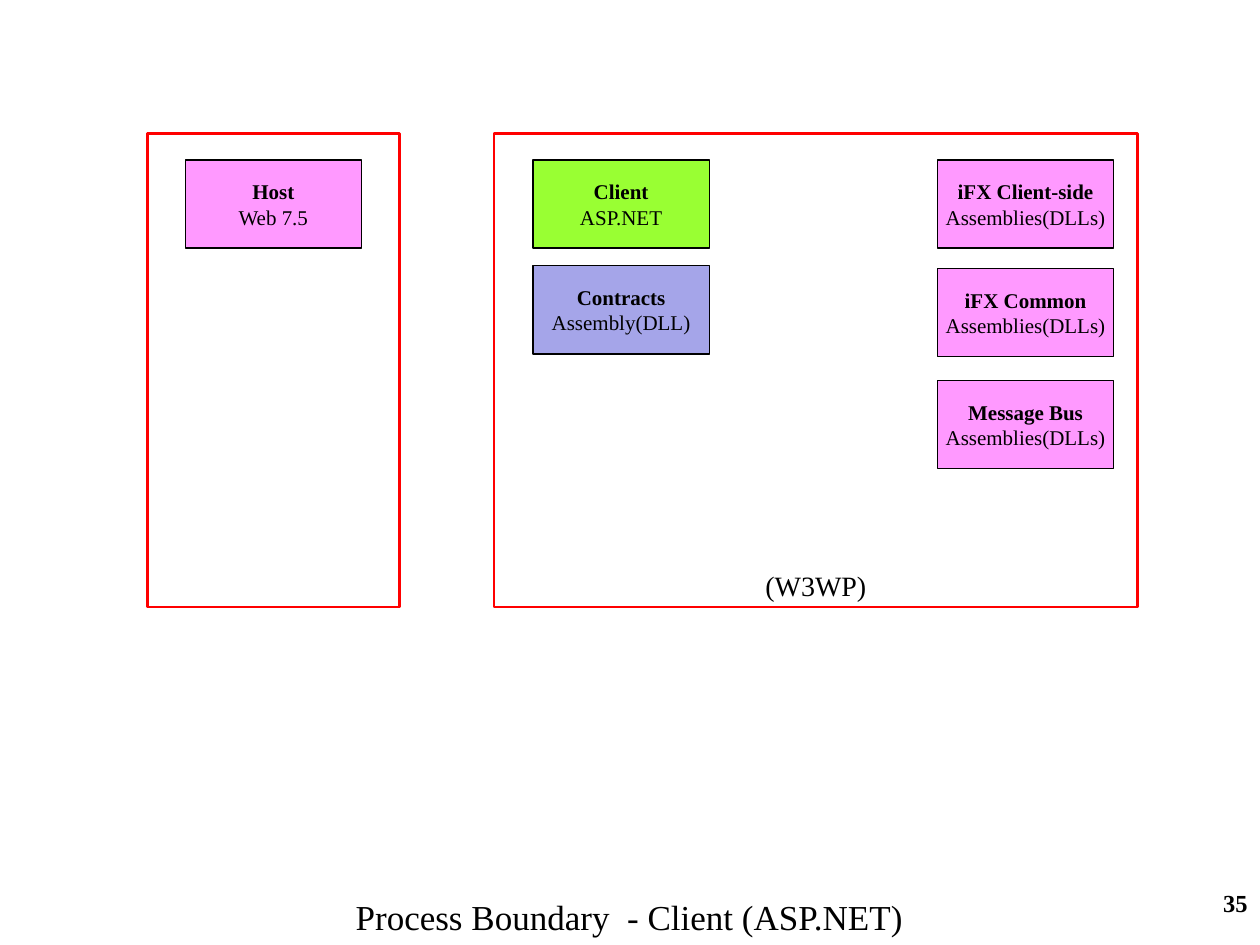
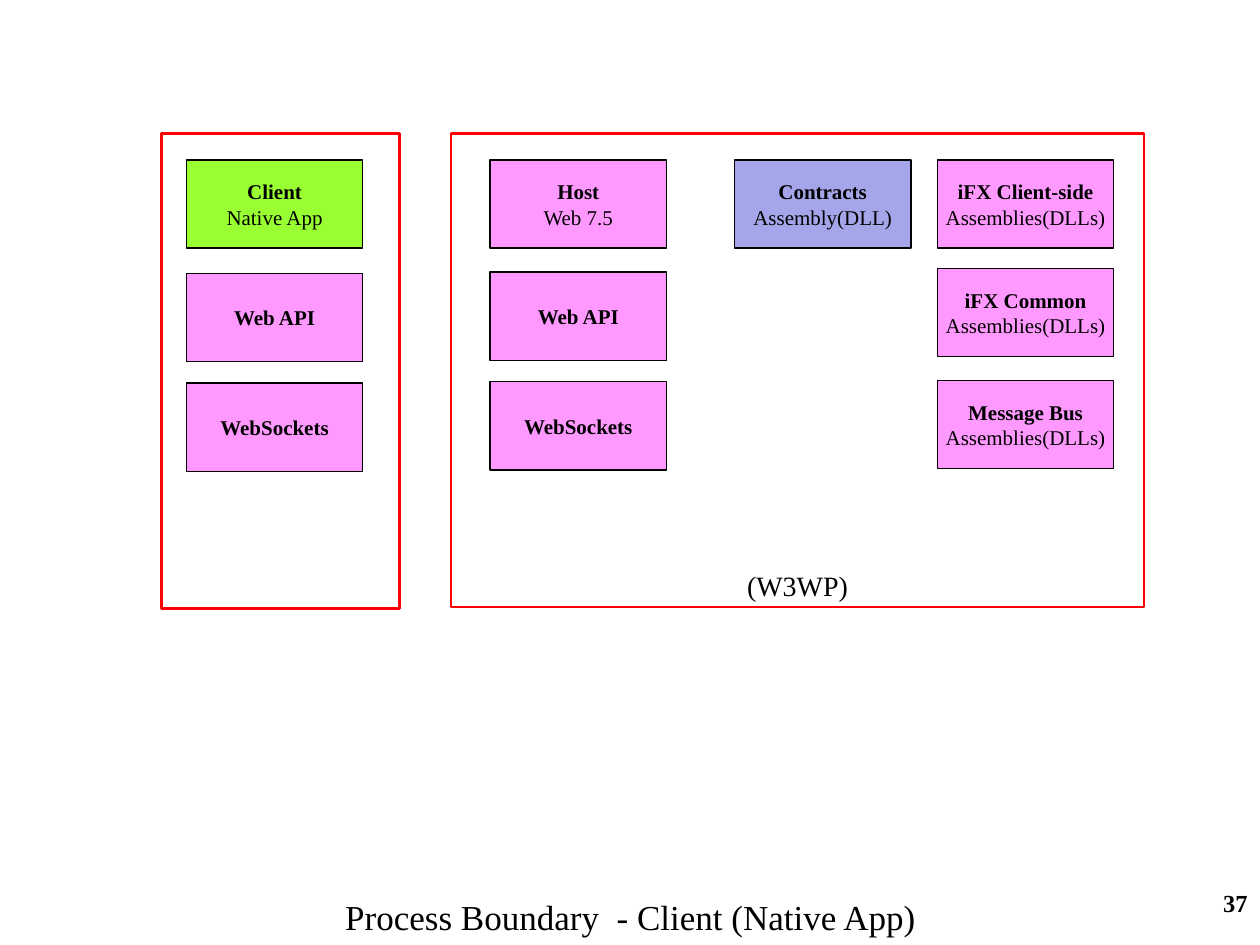
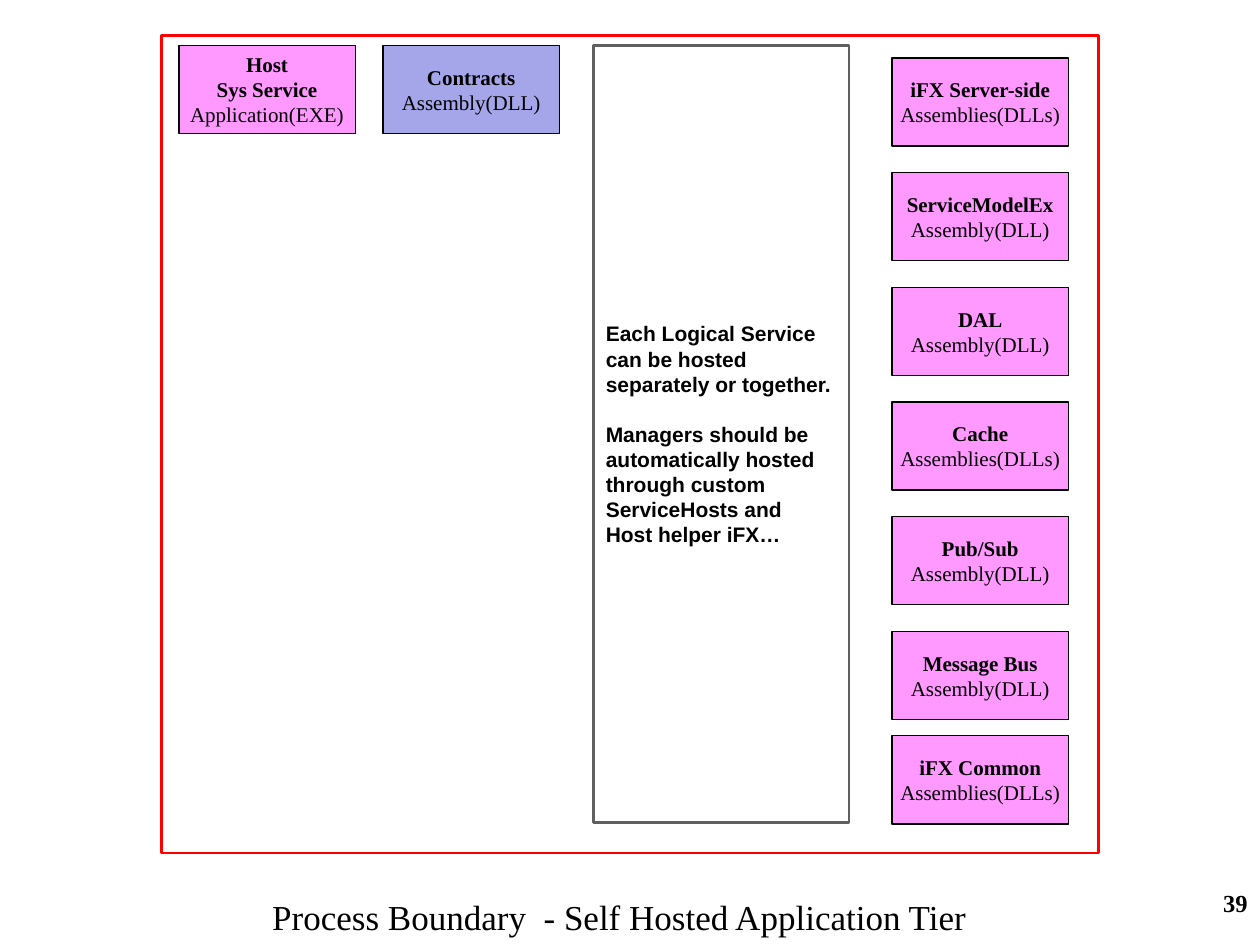
import pptx
import pptx.util
import pptx.dml.color
import pptx.enum.shapes
import pptx.enum.text

Inches = pptx.util.Inches
Pt = pptx.util.Pt
ALIGN = pptx.enum.text.PP_ALIGN
ANCHOR = pptx.enum.text.MSO_ANCHOR

COLORS = {
    "text": "000000",
    "boundary": "FF0000",
    "note": "606060",
    "client": "99FF33",
    "contracts": "A5A5E9",
    "infrastructure": "FF99FF",
}
SERIF = "Times New Roman"
CARD_W, CARD_H = 1.4, 0.7
TOP = 1.27
PLURAL = "Assemblies(DLLs)"
SINGLE = "Assembly(DLL)"


def color(name):
    return pptx.dml.color.RGBColor.from_string(COLORS[name])


def write(tf, text, size=12, font=SERIF, bold_lines=0, align=ALIGN.CENTER,
          anchor=ANCHOR.TOP, wrap=True, gaps=None):
    tf.word_wrap = wrap
    tf.auto_size = pptx.enum.text.MSO_AUTO_SIZE.NONE
    tf.vertical_anchor = anchor
    tf.margin_left = tf.margin_right = Inches(0.1)
    tf.margin_top = tf.margin_bottom = Inches(0.05)
    for i, line in enumerate(text.split("\n")):
        p = tf.add_paragraph() if i else tf.paragraphs[0]
        p.alignment = align
        if gaps and i in gaps:
            p.space_before = Pt(gaps[i])
        r = p.add_run()
        r.text = line
        r.font.size = Pt(size)
        r.font.name = font
        r.font.bold = i < bold_lines
        r.font.color.rgb = color("text")


class Deck:
    def __init__(self):
        self.prs = pptx.Presentation()
        self.prs.slide_width = Inches(10)
        self.prs.slide_height = Inches(7.5)
        self.s = None

    def slide(self, subject, number, left, width, align=ALIGN.CENTER):
        self.s = self.prs.slides.add_slide(self.prs.slide_layouts[5])
        sp = self.s.shapes.title
        sp.left, sp.top = Inches(left), Inches(7.06)
        sp.width, sp.height = Inches(width), Inches(0.44)
        write(sp.text_frame, f"Process Boundary  - {subject}", size=20, align=align)
        self.label(str(number), 7.92, 7, 2.08, 0.5, size=14, bold_lines=1,
                   align=ALIGN.RIGHT)

    def label(self, text, x, y, w, h, **fmt):
        sp = self.s.shapes.add_textbox(Inches(x), Inches(y), Inches(w), Inches(h))
        write(sp.text_frame, text, **fmt)

    def rect(self, x, y, w, h, line, line_width=1.5, fill=None):
        sp = self.s.shapes.add_shape(
            pptx.enum.shapes.MSO_SHAPE.RECTANGLE,
            Inches(x), Inches(y), Inches(w), Inches(h))
        sp.shadow.inherit = False
        sp.line.color.rgb = color(line)
        sp.line.width = Pt(line_width)
        if fill:
            sp.fill.solid()
            sp.fill.fore_color.rgb = color(fill)
        else:
            sp.fill.background()
        return sp

    def boundary(self, x, y, w, h, process=None):
        self.rect(x, y, w, h, "boundary")
        if process:
            self.label(process, x, y + h - 0.36, w, 0.37, size=16)

    def card(self, text, x, y, kind="infrastructure"):
        sp = self.rect(x, y, CARD_W, CARD_H, "text", 0.75, kind)
        write(sp.text_frame, text, bold_lines=max(1, text.count("\n")),
              anchor=ANCHOR.MIDDLE, wrap=False)

    def contracts(self, x, y):
        self.card(f"Contracts\n{SINGLE}", x, y, "contracts")

    def client_assemblies(self):
        for name, y in (("iFX Client-side", TOP), ("iFX Common", 2.13),
                        ("Message Bus", 3.02)):
            self.card(f"{name}\n{PLURAL}", 7.44, y)

    def web_stack(self, x, y):
        for i, name in enumerate(("Web API", "WebSockets")):
            self.card(name, x, y + i * 0.87)

    def note(self, text, x, y, w, h, **fmt):
        sp = self.rect(x, y, w, h, "note")
        write(sp.text_frame, text, font="Arial", bold_lines=text.count("\n") + 1,
              align=ALIGN.LEFT, anchor=ANCHOR.MIDDLE, wrap=False, **fmt)


def web_client(deck):
    deck.slide("Client (ASP.NET)", 35, 2.64, 4.71)
    deck.boundary(1.17, 1.06, 2, 3.76)
    deck.boundary(3.92, 1.06, 5.11, 3.76, "(W3WP)")
    deck.card("Host\nWeb 7.5", 1.47, TOP)
    deck.card("Client\nASP.NET", 4.23, TOP, "client")
    deck.contracts(4.23, 2.11)
    deck.client_assemblies()


def native_client(deck):
    deck.slide("Client (Native App)", 37, 2.41, 5.19)
    deck.boundary(1.28, 1.06, 1.89, 3.77)
    deck.boundary(3.58, 1.06, 5.5, 3.76, "(W3WP)")
    deck.card("Client\nNative App", 1.48, TOP, "client")
    deck.web_stack(1.48, 2.17)
    deck.card("Host\nWeb 7.5", 3.89, TOP)
    deck.web_stack(3.89, 2.16)
    deck.contracts(5.83, TOP)
    deck.client_assemblies()


def self_hosted(deck):
    deck.slide("Self Hosted Application Tier", 39, 2.06, 5.89, ALIGN.LEFT)
    deck.boundary(1.28, 0.28, 7.44, 6.49)
    deck.card("Host\nSys Service\nApplication(EXE)", 1.42, 0.36)
    deck.contracts(3.04, 0.36)
    deck.note("Each Logical Service\ncan be hosted\nseparately or together.\n"
              "Managers should be\nautomatically hosted\nthrough custom\n"
              "ServiceHosts and\nHost helper iFX…",
              4.71, 0.36, 2.03, 6.17, gaps={3: 14})
    services = (("iFX Server-side", PLURAL), ("ServiceModelEx", SINGLE),
                ("DAL", SINGLE), ("Cache", PLURAL), ("Pub/Sub", SINGLE),
                ("Message Bus", SINGLE))
    for i, (name, files) in enumerate(services):
        deck.card(f"{name}\n{files}", 7.08, 0.46 + i * 0.91)
    deck.card(f"iFX Common\n{PLURAL}", 7.08, 5.84)


def main():
    deck = Deck()
    web_client(deck)
    native_client(deck)
    self_hosted(deck)
    deck.prs.save("out.pptx")


if __name__ == "__main__":
    main()
